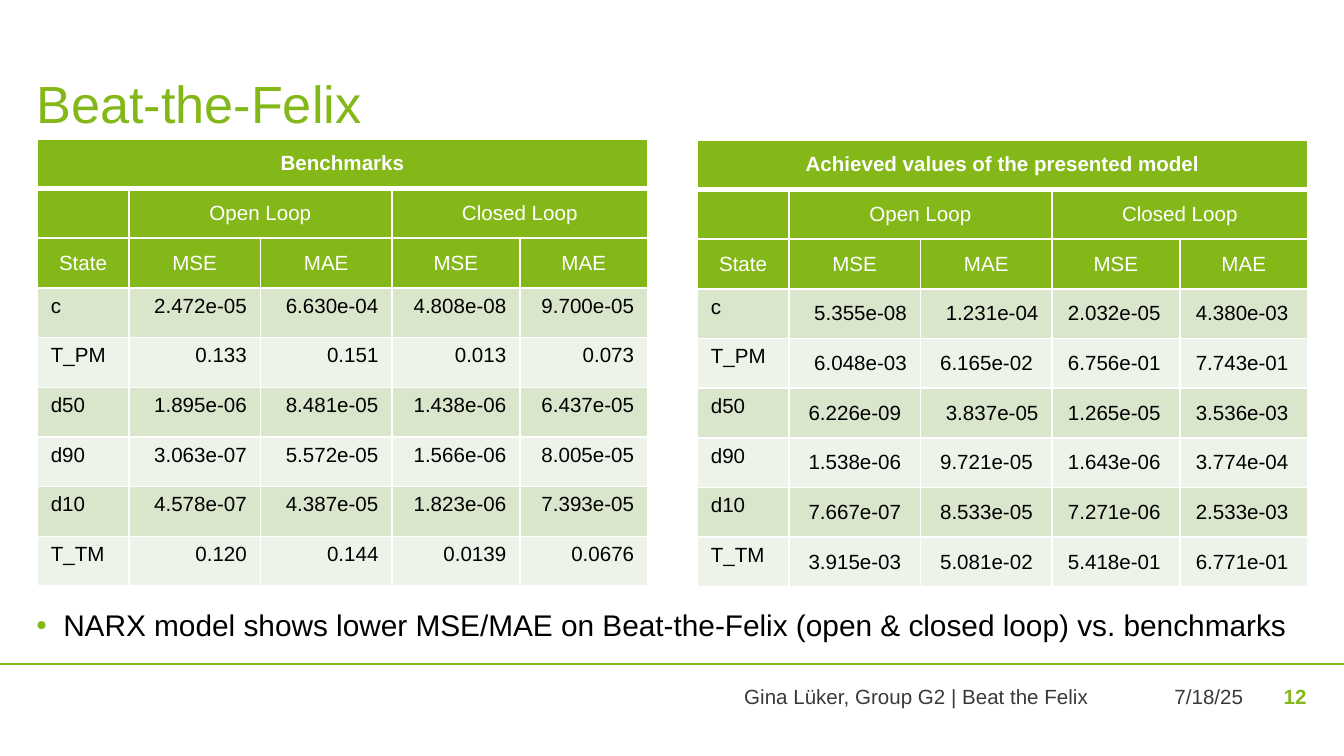
import pptx
import pptx.dml.color
import pptx.enum.shapes
import pptx.enum.text
import pptx.oxml.ns
import pptx.util
from lxml import etree

Pt = pptx.util.Pt
Align = pptx.enum.text.PP_ALIGN
Anchor = pptx.enum.text.MSO_ANCHOR
qn = pptx.oxml.ns.qn

HUE = {"green": "84B819", "dark": "D9E6CC", "light": "EDF3E8",
       "white": "FFFFFF", "black": "000000", "gray": "393939"}
WIDTHS = [49, 70.5, 70.5, 68.5, 68.5]
ROW = 26.64
HEADS = [["", "Open Loop", "", "Closed Loop", ""],
         ["State", "MSE", "MAE", "MSE", "MAE"]]
STATES = ["c", "T_PM", "d50", "d90", "d10", "T_TM"]
BENCH = [
    ["2.472e-05", "6.630e-04", "4.808e-08", "9.700e-05"],
    ["0.133", "0.151", "0.013", "0.073"],
    ["1.895e-06", "8.481e-05", "1.438e-06", "6.437e-05"],
    ["3.063e-07", "5.572e-05", "1.566e-06", "8.005e-05"],
    ["4.578e-07", "4.387e-05", "1.823e-06", "7.393e-05"],
    ["0.120", "0.144", "0.0139", "0.0676"],
]
MODEL = [
    ["5.355e-08", "1.231e-04", "2.032e-05 ", "4.380e-03 "],
    ["6.048e-03", "6.165e-02 ", "6.756e-01 ", "7.743e-01 "],
    ["6.226e-09 ", "3.837e-05", "1.265e-05 ", "3.536e-03 "],
    ["1.538e-06 ", "9.721e-05 ", "1.643e-06 ", "3.774e-04 "],
    ["7.667e-07 ", "8.533e-05 ", "7.271e-06 ", "2.533e-03 "],
    ["3.915e-03 ", "5.081e-02 ", "5.418e-01 ", "6.771e-01 "],
]


def color(name):
    return pptx.dml.color.RGBColor.from_string(HUE[name])


def write(frame, text, size=11, hue="black", bold=False, align=Align.LEFT,
          after=0):
    """Fill the first paragraph of a text frame and return it."""
    para = frame.paragraphs[0]
    para.alignment = align
    para.space_before = Pt(0)
    para.space_after = Pt(after)
    if not text:
        # The end mark sets the line height of an empty cell
        etree.SubElement(para._p, qn("a:endParaRPr"), sz=str(size * 100))
        return para
    run = para.add_run()
    run.text = text
    font = run.font
    font.name = "Arial"
    font.size = Pt(size)
    font.bold = bold
    font.color.rgb = color(hue)
    return para


def place(shape, left, top, width, height, anchor=Anchor.TOP, wrap=True):
    """Set the box of a text shape and return its frame without margins."""
    shape.left, shape.top = Pt(left), Pt(top)
    shape.width, shape.height = Pt(width), Pt(height)
    frame = shape.text_frame
    frame.auto_size = pptx.enum.text.MSO_AUTO_SIZE.NONE
    frame.word_wrap = wrap
    frame.vertical_anchor = anchor
    frame.margin_left = frame.margin_right = 0
    frame.margin_top = frame.margin_bottom = 0
    return frame


def label(slide, text, *box, anchor=Anchor.TOP, wrap=True, **style):
    shape = slide.shapes.add_textbox(0, 0, 0, 0)
    frame = place(shape, *box, anchor=anchor, wrap=wrap)
    write(frame, text, align=Align.RIGHT, **style)


def bullet(para, indent):
    props = para._p.get_or_add_pPr()
    props.set("marL", str(Pt(indent)))
    props.set("indent", str(-Pt(indent)))
    tint = etree.SubElement(props, qn("a:buClr"))
    etree.SubElement(tint, qn("a:srgbClr"), val=HUE["green"])
    etree.SubElement(props, qn("a:buChar"), char="•")


def border(cell, **sides):
    """Draw white cell borders; L, R, T and B give widths in points."""
    props = cell._tc.get_or_add_tcPr()
    for side, width in sides.items():
        line = etree.SubElement(props, qn("a:ln" + side), w=str(Pt(width)))
        fill = etree.SubElement(line, qn("a:solidFill"))
        etree.SubElement(fill, qn("a:srgbClr"), val=HUE["white"])


def grid(slide, left, top, title, values, anchor):
    heads = [[title, "", "", "", ""]] + HEADS
    rows = heads + [[name] + nums for name, nums in zip(STATES, values)]
    table = slide.shapes.add_table(
        len(rows), len(WIDTHS), Pt(left), Pt(top),
        Pt(sum(WIDTHS)), Pt(ROW * len(rows))).table
    for col, width in zip(table.columns, WIDTHS):
        col.width = Pt(width)
    for r, row in enumerate(rows):
        table.rows[r].height = Pt(ROW)
        head = r < len(heads)
        for c, text in enumerate(row):
            cell = table.cell(r, c)
            border(cell, L=1, R=1, T=3 if r == 1 else 1, B=3 if r == 0 else 1)
            cell.fill.solid()
            if head:
                cell.fill.fore_color.rgb = color("green")
                cell.vertical_anchor = Anchor.MIDDLE
                write(cell.text_frame, text, hue="white", bold=r == 0,
                      align=Align.CENTER)
            else:
                cell.fill.fore_color.rgb = color("dark" if r % 2 else "light")
                cell.vertical_anchor = anchor if c else Anchor.TOP
                write(cell.text_frame, text,
                      align=Align.RIGHT if c else Align.LEFT)
    for r, start, end in [(0, 0, 4), (1, 1, 2), (1, 3, 4)]:
        table.cell(r, start).merge(table.cell(r, end))


def rule(slide, top, width):
    line = slide.shapes.add_connector(
        pptx.enum.shapes.MSO_CONNECTOR.STRAIGHT, 0, Pt(top), Pt(width), Pt(top))
    line.line.color.rgb = color("green")
    line.line.width = Pt(1)
    etree.SubElement(line._element.spPr, qn("a:effectLst"))


def main():
    deck = pptx.Presentation()
    deck.slide_width, deck.slide_height = Pt(720), Pt(405)
    slide = deck.slides.add_slide(deck.slide_layouts[1])
    title, body = slide.placeholders

    rule(slide, 355.7, 720)
    label(slide, "Gina Lüker, Group G2 | Beat the Felix",
          265.7, 366.5, 317.5, 21.6, hue="gray", after=6)
    label(slide, "7/18/25", 594.7, 366.5, 71.3, 21.6, hue="gray", wrap=False)
    label(slide, "12", 669.6, 365, 30.4, 16.6, anchor=Anchor.MIDDLE,
          hue="green", bold=True)

    frame = place(title, 19.5, 36.7, 680.5, 35.3, anchor=Anchor.BOTTOM)
    write(frame, "Beat-the-Felix", size=28, hue="green")
    frame = place(body, 19.5, 323.3, 680.5, 23, anchor=Anchor.MIDDLE)
    bullet(frame.paragraphs[0], 14.4)
    write(frame, "NARX model shows lower MSE/MAE on Beat-the-Felix "
          "(open & closed loop) vs. benchmarks", size=16, after=6)

    grid(slide, 20, 74.4, "Benchmarks", BENCH, Anchor.TOP)
    grid(slide, 373.6, 74.9, "Achieved values of the presented model", MODEL,
         Anchor.MIDDLE)
    deck.save("out.pptx")


if __name__ == "__main__":
    main()
